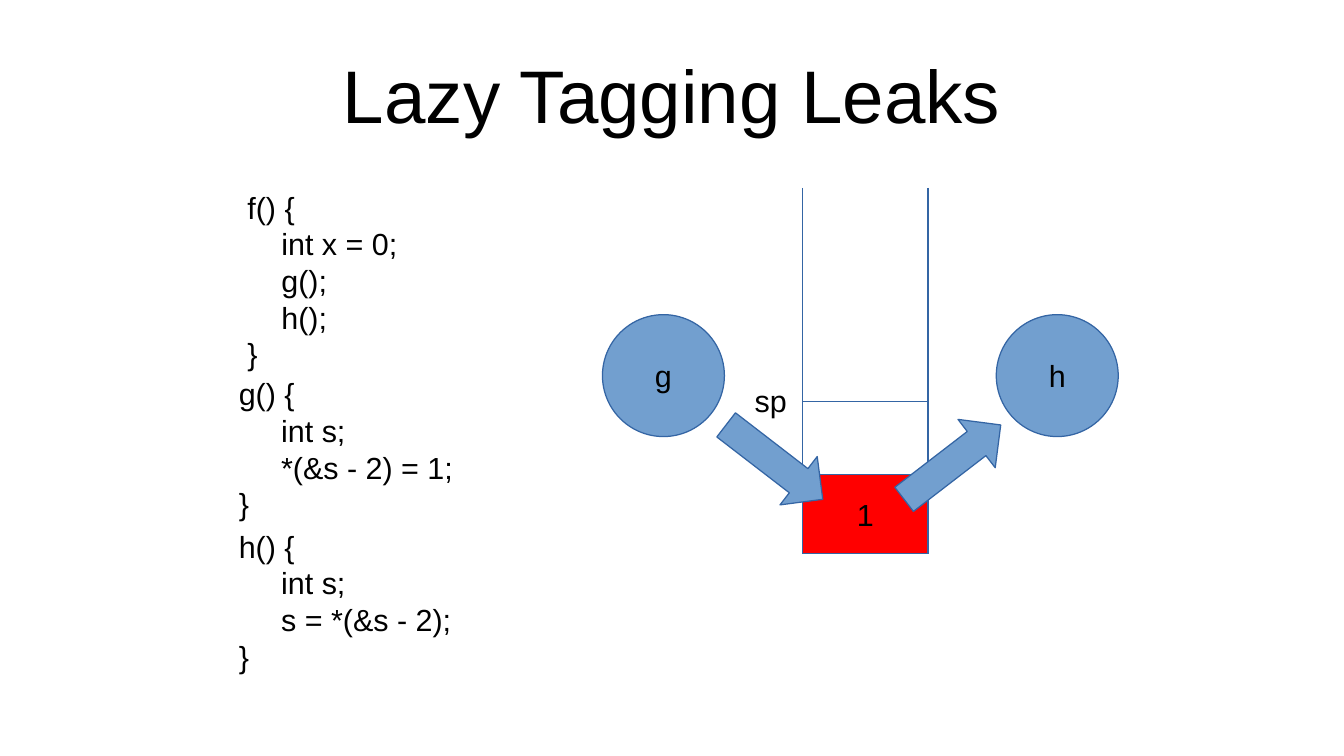
import pptx
import pptx.util
import pptx.dml.color
import pptx.enum.shapes
import pptx.enum.text
import pptx.oxml.ns
import lxml.etree

Pt = pptx.util.Pt
RGB = pptx.dml.color.RGBColor
SHAPE = pptx.enum.shapes.MSO_SHAPE
ALIGN = pptx.enum.text.PP_ALIGN
ANCHOR = pptx.enum.text.MSO_ANCHOR

BLACK = RGB(0x00, 0x00, 0x00)
BLUE = RGB(0x72, 0x9F, 0xCF)
DARK_BLUE = RGB(0x34, 0x65, 0xA4)
RED = RGB(0xFF, 0x00, 0x00)

# Edges of the stack drawing, in points
LEFT, RIGHT, TOP, BOTTOM = 473.8, 547.9, 110.9, 326.9
SP_Y = 236.9
CELL_TOP = 280.1


def format_text(p, text, size=18, align=ALIGN.LEFT):
    p.alignment = align
    r = p.add_run()
    r.text = text
    r.font.size = Pt(size)
    r.font.name = "Arial"
    r.font.color.rgb = BLACK


def set_frame(tf, x=7.2, y=3.6, anchor=ANCHOR.TOP):
    tf.margin_left = tf.margin_right = Pt(x)
    tf.margin_top = tf.margin_bottom = Pt(y)
    tf.vertical_anchor = anchor
    tf.word_wrap = True
    tf.auto_size = pptx.enum.text.MSO_AUTO_SIZE.NONE


def add_title(s, text):
    sp = s.shapes.title
    sp.left, sp.top, sp.width, sp.height = Pt(39.6), Pt(18), Pt(714.2), Pt(74.9)
    set_frame(sp.text_frame, 0, 0, ANCHOR.MIDDLE)
    format_text(sp.text_frame.paragraphs[0], text, 44, ALIGN.CENTER)


def add_text(s, lines, x, y, w, h, indent=0, spacing=None):
    """Text box whose lines between the first and the last are indented."""
    tf = s.shapes.add_textbox(Pt(x), Pt(y), Pt(w), Pt(h)).text_frame
    set_frame(tf)
    for i, line in enumerate(lines):
        p = tf.add_paragraph() if i else tf.paragraphs[0]
        format_text(p, line)
        if spacing:
            p.line_spacing = Pt(spacing)
        if 0 < i < len(lines) - 1:
            p._p.get_or_add_pPr().set("marL", str(Pt(indent)))


def add_line(s, x1, y1, x2, y2):
    line = s.shapes.add_connector(pptx.enum.shapes.MSO_CONNECTOR.STRAIGHT,
                                  Pt(x1), Pt(y1), Pt(x2), Pt(y2))
    line.line.color.rgb = DARK_BLUE
    line.line.width = Pt(0.75)
    lxml.etree.SubElement(line._element.spPr, pptx.oxml.ns.qn("a:effectLst"))


def add_shape(s, kind, x, y, w, h, text="", fill=BLUE, rotation=0):
    sp = s.shapes.add_shape(kind, Pt(x), Pt(y), Pt(w), Pt(h))
    sp.shadow.inherit = False
    sp.fill.solid()
    sp.fill.fore_color.rgb = fill
    sp.line.color.rgb = DARK_BLUE
    sp.line.width = Pt(0.75)
    sp.rotation = rotation
    if text:
        set_frame(sp.text_frame, anchor=ANCHOR.MIDDLE)
        format_text(sp.text_frame.paragraphs[0], text, align=ALIGN.CENTER)


def main():
    prs = pptx.Presentation()
    prs.slide_width, prs.slide_height = Pt(793.44), Pt(446.4)
    s = prs.slides.add_slide(prs.slide_layouts[5])
    add_title(s, "Lazy Tagging Leaks")

    # Code of the three functions
    f = ["f() {", "int x = 0;", "g();", "h();", "}"]
    g = ["g() {", "int s;", "*(&s - 2) = 1;", "}"]
    h = ["h() {", "int s;", "s = *(&s - 2);", "}"]
    add_text(s, f, 139, 108, 103, 108, indent=20, spacing=21.6)
    for lines, y in ((g, 218.2), (h, 308.2)):
        add_text(s, lines, 133.9, y, 161.3, 100, indent=25, spacing=21.6)

    # Stack with its pointer and the leaked cell
    for x in (LEFT, RIGHT):
        add_line(s, x, TOP, x, BOTTOM)
    for y in (SP_Y, BOTTOM):
        add_line(s, LEFT, y, RIGHT, y)
    add_text(s, ["sp"], 438.5, 221.8, 36, 27.4)
    add_shape(s, SHAPE.RECTANGLE, LEFT, CELL_TOP, RIGHT - LEFT,
              BOTTOM - CELL_TOP, "1", RED)

    # g writes the cell, h reads it
    for name, x, arrow_x, angle in (("g", 355.7, 421.2, 37.6),
                                    ("h", 588.2, 526.3, -37.6)):
        add_shape(s, SHAPE.OVAL, x, 185.8, 72, 72, name)
        add_shape(s, SHAPE.RIGHT_ARROW, arrow_x, 254.9, 72, 36, rotation=angle)

    prs.save("out.pptx")


main()
